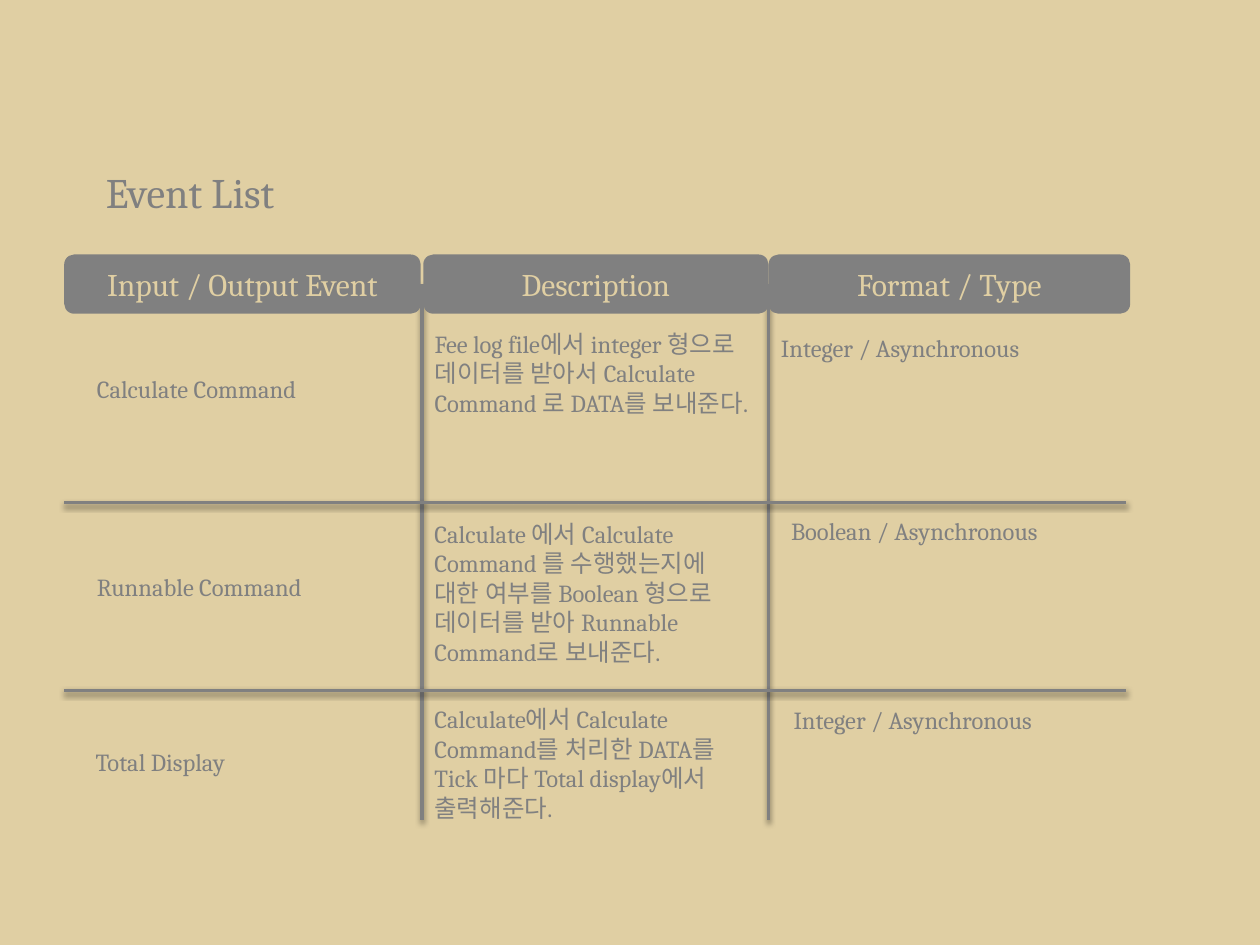
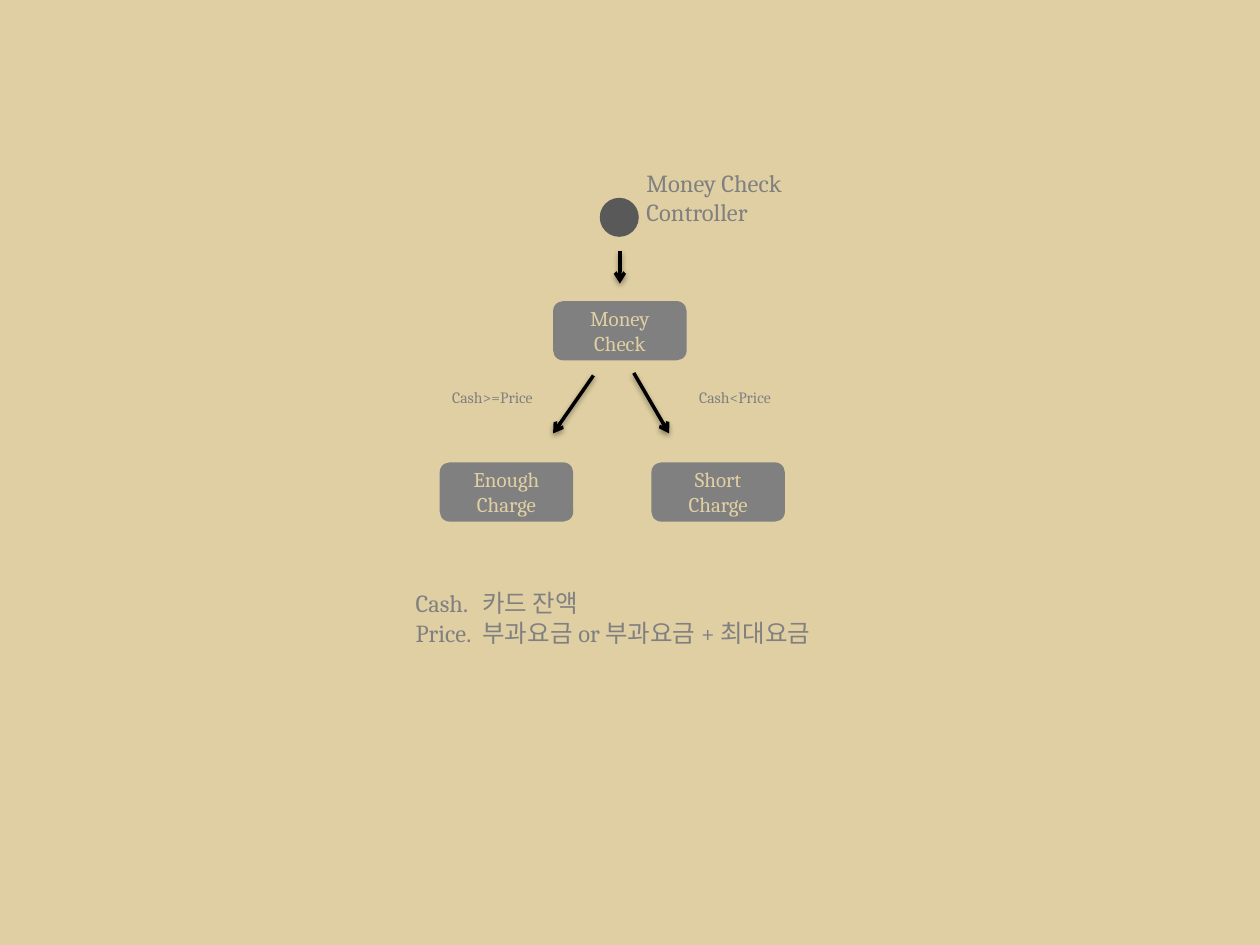
"""Build an event list slide and a money check state diagram slide."""
from lxml import etree
from pptx import Presentation
from pptx import util as u
from pptx.dml.color import RGBColor
from pptx.enum import shapes, text
from pptx.oxml.ns import qn

PX = 9144
SAND, GREY, DARK, BLACK = "E0CFA3", "808080", "595959", "000000"
FONT = "Cambria"
rgb = RGBColor.from_string


def write(sp, content, size, color, align=text.PP_ALIGN.LEFT, anchor=text.MSO_ANCHOR.TOP):
    tf = sp.text_frame
    tf.text = content
    frame_format = {"word_wrap": True, "auto_size": text.MSO_AUTO_SIZE.NONE, "vertical_anchor": anchor}
    for name, value in frame_format.items():
        setattr(tf, name, value)
    for p in tf.paragraphs:
        p.alignment = align
        for r in p.runs:
            for name, value in {"name": FONT, "size": u.Pt(size)}.items():
                setattr(r.font, name, value)
            r.font.color.rgb = rgb(color)


def connect(s, ends, color, arrow=False):
    cx = s.shapes.add_connector(shapes.MSO_CONNECTOR.STRAIGHT, *[v * PX for v in ends])
    cx.line.color.rgb = rgb(color)
    cx.line.width = u.Pt(2)
    if arrow:
        etree.SubElement(cx.line._get_or_add_ln(), qn("a:tailEnd"), type="arrow")
    effects = etree.SubElement(cx._element.spPr, qn("a:effectLst"))
    shadow = etree.SubElement(effects, qn("a:outerShdw"), blurRad="40000", dist="20000",
                              dir="5400000", rotWithShape="0")
    shade = etree.SubElement(shadow, qn("a:srgbClr"), val=BLACK)
    etree.SubElement(shade, qn("a:alpha"), val="38000")


prs = Presentation()
prs.slide_width, prs.slide_height = 1000 * PX, 750 * PX
prs.slide_master.background.fill.solid()
prs.slide_master.background.fill.fore_color.rgb = rgb(SAND)

titles = [
    ("Event List", 24, (74, 127, 266, 50)),
    ("Money Check Controller", 14, (503, 128, 140, 57)),
]
for title, size, box in titles:
    s = prs.slides.add_slide(prs.slide_layouts[5])
    sp = s.shapes.title
    for name, value in zip(("left", "top", "width", "height"), box):
        setattr(sp, name, value * PX)
    write(sp, title, size, GREY)
events, states = prs.slides

for x in (610, 335):
    connect(events, (x, 225, x, 651), GREY)
for y in (399, 548):
    connect(events, (51, y, 894, y), GREY)
for ends in ((492, 199, 492, 225), (471, 298, 439, 344), (503, 296, 531, 344)):
    connect(states, ends, BLACK, arrow=True)

ROUND, OVAL = shapes.MSO_SHAPE.ROUNDED_RECTANGLE, shapes.MSO_SHAPE.OVAL
filled_shapes = [
    (events, ROUND, GREY, (51, 202, 283, 47), "Input / Output Event", 18),
    (events, ROUND, GREY, (336, 202, 274, 47), "Description", 18),
    (events, ROUND, GREY, (610, 202, 287, 47), "Format / Type", 18),
    (states, OVAL, DARK, (476, 157, 31, 31), "", 12),
    (states, ROUND, GREY, (439, 239, 106, 47), "Money Check", 12),
    (states, ROUND, GREY, (349, 367, 106, 47), "Enough Charge", 12),
    (states, ROUND, GREY, (517, 367, 106, 47), "Short Charge", 12),
]
for s, kind, fill, box, content, size in filled_shapes:
    sp = s.shapes.add_shape(kind, *[v * PX for v in box])
    sp.shadow.inherit = False
    sp.fill.solid()
    sp.fill.fore_color.rgb = rgb(fill)
    sp.line.fill.background()
    write(sp, content, size, SAND, text.PP_ALIGN.CENTER, text.MSO_ANCHOR.MIDDLE)

labels = [
    (events, (67, 292, 274, 34), "Calculate Command", 14),
    (events, (335, 256, 268, 128),
     "Fee log file에서 integer 형으로 데이터를 받아서 Calculate Command 로 DATA를 보내준다.", 14),
    (events, (610, 259, 323, 34), "Integer / Asynchronous", 14),
    (events, (67, 449, 250, 34), "Runnable Command", 14),
    (events, (335, 407, 283, 151),
     "Calculate 에서 Calculate Command 를 수행했는지에\n대한 여부를 Boolean 형으로\n"
     "데이터를 받아 Runnable Command로 보내준다.", 14),
    (events, (618, 405, 240, 34), "Boolean / Asynchronous", 14),
    (events, (66, 588, 269, 34), "Total Display", 14),
    (events, (335, 554, 276, 128),
     "Calculate에서 Calculate Command를 처리한 DATA를 Tick 마다 Total display에서 출력해준다.", 14),
    (events, (620, 555, 240, 34), "Integer / Asynchronous", 14),
    (states, (349, 303, 95, 25), "Cash>=Price", 9),
    (states, (545, 303, 95, 25), "Cash<Price", 9),
]
for s, box, content, size in labels:
    write(s.shapes.add_textbox(*[v * PX for v in box]), content, size, GREY)

legend = states.shapes.add_textbox(*[v * PX for v in (320, 462, 424, 57)])
write(legend, "Cash.\t카드 잔액\nPrice.\t부과요금 or 부과요금 + 최대요금", 14, GREY)
for p in legend.text_frame.paragraphs:
    tabs = etree.SubElement(p._p.get_or_add_pPr(), qn("a:tabLst"))
    etree.SubElement(tabs, qn("a:tab"), pos=str(53 * PX), algn="l")

prs.save("out.pptx")
